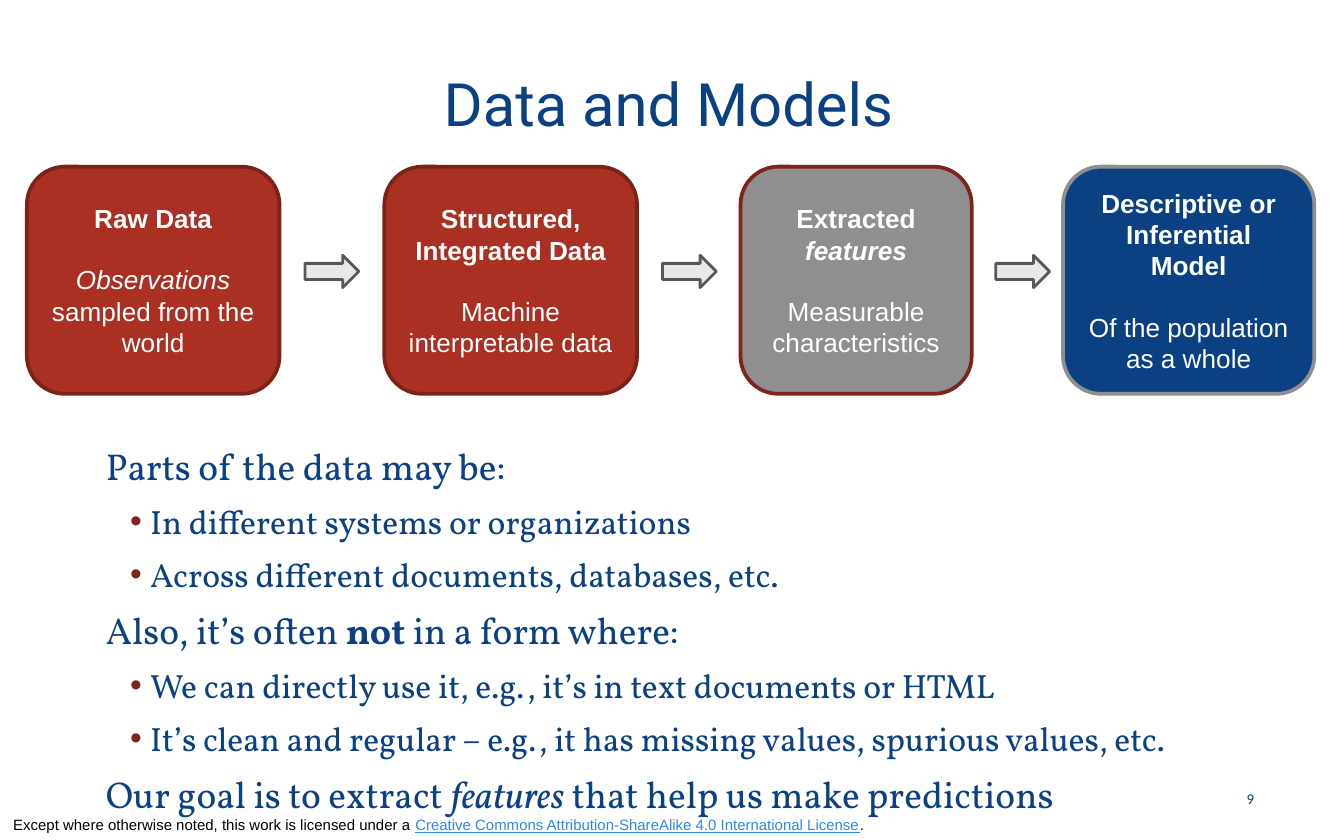
"""Build the "Data and Models" slide."""
from dataclasses import dataclass

from lxml.etree import SubElement
from pptx import Presentation
from pptx.dml.color import RGBColor
from pptx.enum.shapes import MSO_SHAPE as Shape
from pptx.enum.text import MSO_ANCHOR as Anchor, PP_ALIGN as Align
from pptx.oxml.ns import qn
from pptx.util import Emu, Pt

SCALE = 9144
NAVY, RED, DARK_RED, GREY = "0B4183", "A93023", "7B2319", "8F8F8F"
BULLET_RED, WHITE, BLACK, LINK_BLUE = "7E241A", "FFFFFF", "000000", "3085ED"
STAGE_TOP, STAGE_HEIGHT, HEADING_GAP = 124, 169, 16
ARROW_TOP, ARROW_WIDTH, ARROW_HEIGHT = 190, 40, 24


@dataclass(frozen=True)
class Span:
    """A stretch of text in one style."""
    text: str
    bold: bool = False
    italic: bool = False
    underline: bool = False
    color: str = ""


@dataclass(frozen=True)
class Stage:
    """One rounded box of the pipeline."""
    left: int
    width: int
    fill: str
    line: str
    heading: tuple[Span, ...]
    detail: tuple[Span, ...]


@dataclass(frozen=True)
class Level:
    """The look of one outline level, in px and points."""
    size: int
    line_height: float
    space_before: float
    margin: int
    indent: int
    bullet: str = ""


TOPIC = Level(20, 24, 7.2, 18, 0)
POINT = Level(18, 21.5, 6.8, 51, -15, "•")

STAGES = (
    Stage(20, 188, RED, DARK_RED, (Span("Raw Data", bold=True),),
          (Span("Observations ", italic=True), Span("sampled from the world"))),
    Stage(286, 188, RED, DARK_RED, (Span("Structured, Integrated Data", bold=True),),
          (Span("Machine interpretable data"),)),
    Stage(551, 172, GREY, BULLET_RED,
          (Span("Extracted ", bold=True), Span("features", bold=True, italic=True)),
          (Span("Measurable characteristics"),)),
    Stage(791, 187, NAVY, GREY, (Span("Descriptive or Inferential Model", bold=True),),
          (Span("Of the population as a whole"),)),
)
ARROW_LEFTS = (227, 493, 741)

OUTLINE = (
    (TOPIC, (Span("Parts of the data may be:"),)),
    (POINT, (Span("In different systems or organizations"),)),
    (POINT, (Span("Across different documents, databases, etc."),)),
    (TOPIC, (Span("Also, it’s often "), Span("not ", bold=True), Span("in a form where:"))),
    (POINT, (Span("We can directly use it, e.g., it’s in text documents or HTML"),)),
    (POINT, (Span("It’s clean and regular – e.g., it has missing values, spurious values, etc."),)),
    (TOPIC, (Span("Our goal is to extract "), Span("features", italic=True),
             Span(" that help us make predictions"))),
)

LICENSE = (
    Span("Except where otherwise noted, this work is licensed under a\u00a0"),
    Span("Creative Commons Attribution-ShareAlike 4.0 International License",
         underline=True, color=LINK_BLUE),
    Span("."),
)


def px(length: int) -> Emu:
    """Turn px into EMU."""
    return Emu(length * SCALE)


def rgb(color: str) -> RGBColor:
    """Turn a hex string into a colour."""
    return RGBColor.from_string(color)


def set_frame(frame, anchor, inset_x: int = 10, inset_y: int = 5) -> None:
    """Set wrapping, anchor and insets of a text frame."""
    frame.word_wrap = True
    frame.vertical_anchor = anchor
    frame.margin_left = frame.margin_right = px(inset_x)
    frame.margin_top = frame.margin_bottom = px(inset_y)


def write(para, spans: tuple[Span, ...], font: str, size: int, color: str, align=Align.LEFT) -> None:
    """Write styled spans into a paragraph."""
    para.alignment = align
    for span in spans:
        run = para.add_run()
        run.text = span.text
        run.font.name, run.font.size = font, Pt(size)
        run.font.bold, run.font.italic = span.bold, span.italic
        run.font.underline = span.underline
        run.font.color.rgb = rgb(span.color or color)


def add_text_box(page, left: int, top: int, width: int, height: int, anchor):
    """Add a text box and return its frame."""
    box = page.shapes.add_textbox(px(left), px(top), px(width), px(height))
    set_frame(box.text_frame, anchor)
    return box.text_frame


def add_outlined(page, kind, left: int, top: int, width: int, height: int,
                 fill: str, line: str, weight: float):
    """Add a filled and outlined preset shape."""
    shape = page.shapes.add_shape(kind, px(left), px(top), px(width), px(height))
    shape.shadow.inherit = False
    shape.fill.solid()
    shape.fill.fore_color.rgb = rgb(fill)
    shape.line.color.rgb = rgb(line)
    shape.line.width = Pt(weight)
    return shape


def add_stage(page, stage: Stage) -> None:
    """Draw one pipeline box with its heading and detail."""
    shape = add_outlined(page, Shape.ROUNDED_RECTANGLE, stage.left, STAGE_TOP,
                         stage.width, STAGE_HEIGHT, stage.fill, stage.line, 2)
    frame = shape.text_frame
    set_frame(frame, Anchor.MIDDLE)
    write(frame.paragraphs[0], stage.heading, "Arial", 14, WHITE, Align.CENTER)
    detail = frame.add_paragraph()
    detail.space_before = Pt(HEADING_GAP)
    write(detail, stage.detail, "Arial", 14, WHITE, Align.CENTER)


def add_outline(page) -> None:
    """Draw the two-level outline below the pipeline."""
    frame = add_text_box(page, 51, 312, 893, 298, Anchor.TOP)
    frame.margin_top = px(18)
    for index, (level, spans) in enumerate(OUTLINE):
        para = frame.add_paragraph() if index else frame.paragraphs[0]
        para.line_spacing = Pt(level.line_height)
        para.space_before = Pt(level.space_before if index else 0)
        properties = para._p.get_or_add_pPr()
        properties.set("marL", str(px(level.margin)))
        properties.set("indent", str(px(level.indent)))
        if level.bullet:
            para.level = 1
            bullet_color = SubElement(properties, qn("a:buClr"))
            SubElement(bullet_color, qn("a:srgbClr"), val=BULLET_RED)
            SubElement(properties, qn("a:buFont"), typeface="Arial")
            SubElement(properties, qn("a:buChar"), char=level.bullet)
        write(para, spans, "Vollkorn", level.size, NAVY)


def add_title(page) -> None:
    """Place and format the title."""
    title = page.shapes.title
    title.left, title.top, title.width, title.height = map(px, (51, 17, 893, 119))
    set_frame(title.text_frame, Anchor.MIDDLE, 10, 10)
    write(title.text_frame.paragraphs[0], (Span("Data and Models"),), "Roboto", 32, NAVY, Align.CENTER)


def main() -> None:
    """Build and save the deck."""
    deck = Presentation()
    deck.slide_width, deck.slide_height = px(1000), px(625)
    page = deck.slides.add_slide(deck.slide_layouts[5])
    footer = add_text_box(page, 0, 602, 750, 23, Anchor.BOTTOM)
    write(footer.paragraphs[0], LICENSE, "Arial", 8, BLACK)
    add_title(page)
    add_outline(page)
    number = add_text_box(page, 898, 578, 45, 33, Anchor.MIDDLE)
    write(number.paragraphs[0], (Span("9"),), "Calibri", 8, NAVY, Align.RIGHT)
    for stage in STAGES:
        add_stage(page, stage)
    for left in ARROW_LEFTS:
        add_outlined(page, Shape.RIGHT_ARROW, left, ARROW_TOP, ARROW_WIDTH, ARROW_HEIGHT,
                     "E8E8E8", "575757", 1.5)
    deck.save("out.pptx")


if __name__ == "__main__":
    main()
